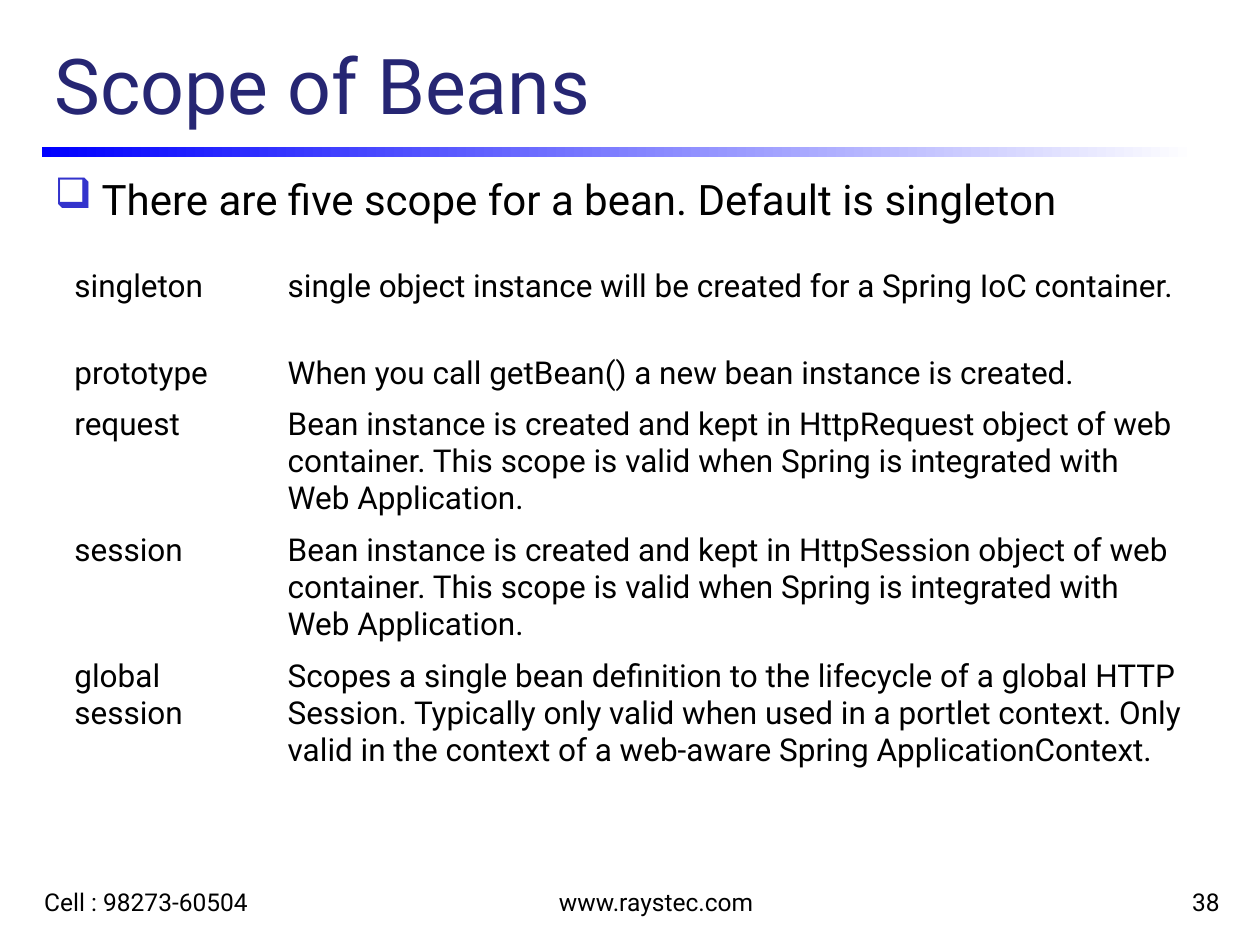
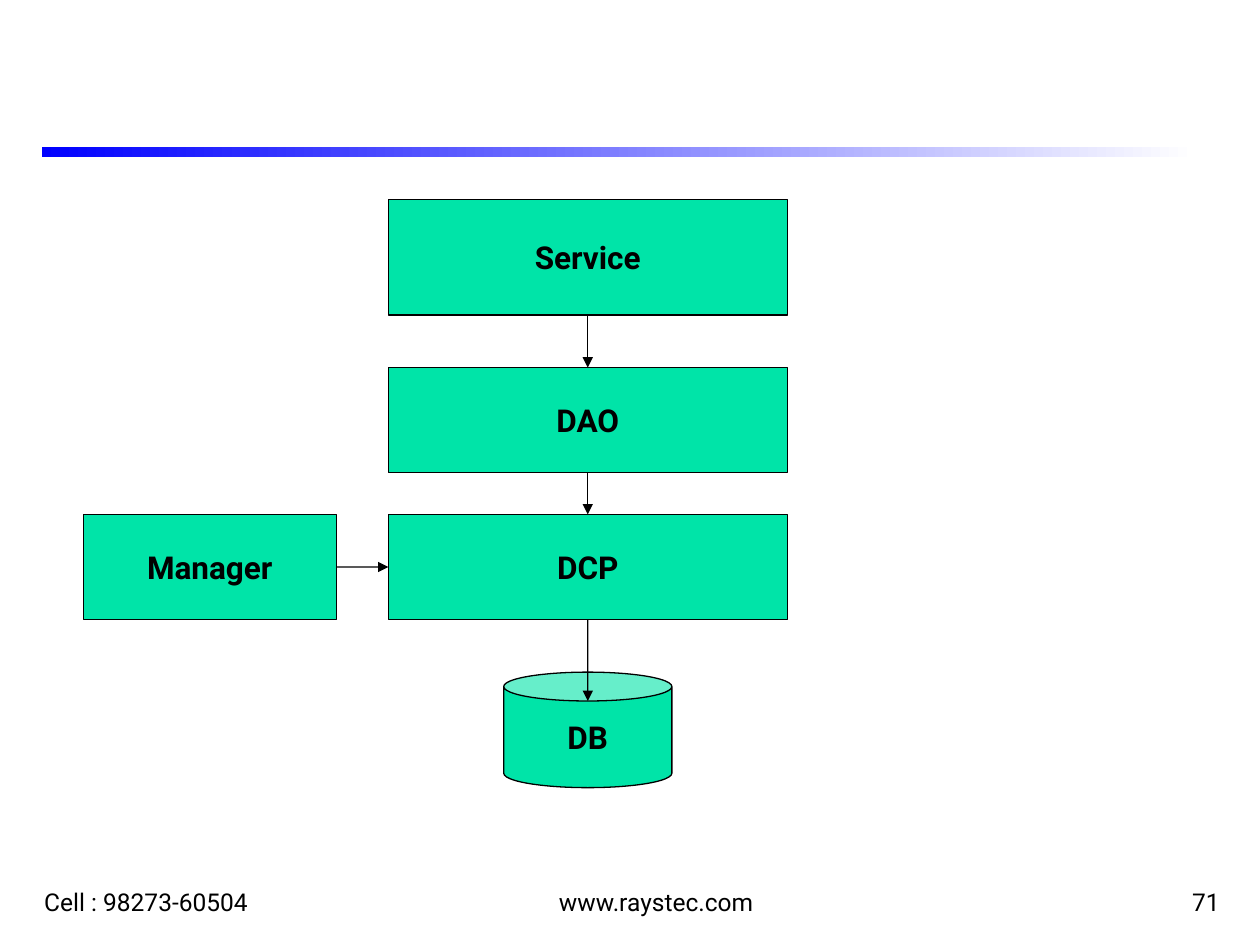
from lxml.etree import SubElement
from pptx import Presentation
from pptx.dml.color import RGBColor
from pptx.enum.shapes import MSO_CONNECTOR, MSO_SHAPE
from pptx.enum.text import MSO_ANCHOR, PP_ALIGN
from pptx.oxml.ns import qn
from pptx.util import Cm, Pt

FONT = "Roboto"
BLACK, NAVY, GREEN = "000000", "262673", "00E4A8"
BLUE, WHITE, MARK = "0000FF", "FFFFFF", "3333CC"
EDGE = 0.85

SCOPES = [
    (1.75, "singleton",
     "single object instance will be created for a Spring IoC container."),
    (1.0, "prototype",
     "When you call getBean() a new bean instance is created."),
    (2.52, "request",
     "Bean instance is created and kept in HttpRequest object of web container. "
     "This scope is valid when Spring is integrated with Web Application."),
    (2.52, "session",
     "Bean instance is created and kept in HttpSession object of web container. "
     "This scope is valid when Spring is integrated with Web Application."),
    (3.27, "global session",
     "Scopes a single bean definition to the lifecycle of a global HTTP Session. "
     "Typically only valid when used in a portlet context. "
     "Only valid in the context of a web-aware Spring ApplicationContext."),
]


def tint(code):
    """Turn a hex string into a colour."""
    return RGBColor.from_string(code)


def write(frame, text, size, color=BLACK, bold=False, align=PP_ALIGN.LEFT):
    """Put one styled paragraph in a text frame."""
    para = frame.paragraphs[0]
    para.text = text
    para.alignment = align
    font = para.font
    font.name, font.size, font.bold = FONT, Pt(size), bold
    font.color.rgb = tint(color)


def label(slide, box, text, size, anchor=MSO_ANCHOR.TOP, **style):
    """Add a wrapped text box and return its frame."""
    frame = slide.shapes.add_textbox(*map(Cm, box)).text_frame
    frame.word_wrap = True
    frame.vertical_anchor = anchor
    write(frame, text, size, **style)
    return frame


def band(slide, box):
    """Draw the fading rule below the title."""
    bar = slide.shapes.add_shape(MSO_SHAPE.RECTANGLE, *map(Cm, box))
    bar.shadow.inherit = False
    bar.line.fill.background()
    bar.fill.gradient()
    bar.fill.gradient_angle = 0
    for stop, code in zip(bar.fill.gradient_stops, (BLUE, WHITE)):
        stop.color.rgb = tint(code)


def footer(slide, box, page):
    """Write phone, site and page number along the bottom."""
    left, top, _, high = box
    parts = [(0, 5.29, "Cell : 98273-60504", PP_ALIGN.LEFT),
             (6.14, 12.9, "www.raystec.com", PP_ALIGN.CENTER),
             (19.68, 4.52, page, PP_ALIGN.RIGHT)]
    for shift, wide, text, align in parts:
        label(slide, (left + shift, top, wide, high), text, 14,
              MSO_ANCHOR.BOTTOM, align=align)


def start(deck, page):
    """Add a slide with the shared band and footer."""
    slide = deck.slides.add_slide(deck.slide_layouts[6])
    band(slide, (EDGE, 2.96, 23.27, 0.2))
    footer(slide, (0.64, 17.98, 24.2, 0.62), page)
    return slide


def bullet(slide, box, text):
    """Add a line with a hollow square bullet."""
    frame = slide.shapes.add_textbox(*map(Cm, box)).text_frame
    frame.word_wrap = True
    props = frame.paragraphs[0]._p.get_or_add_pPr()
    props.set("marL", str(Cm(0.95)))
    props.set("indent", str(-Cm(0.95)))
    color = SubElement(props, qn("a:buClr"))
    SubElement(color, qn("a:srgbClr"), val=MARK)
    SubElement(props, qn("a:buChar"), char="❑")
    write(frame, text, 24)


def grid(slide, box, rows):
    """Build the table of scopes and their meaning."""
    wide = box[2]
    table = slide.shapes.add_table(len(rows), 2, *map(Cm, box)).table
    table.first_row = table.horz_banding = False
    for col, size in zip(table.columns, (4.3, wide - 4.3)):
        col.width = Cm(size)
    for row, (high, *texts) in zip(table.rows, rows):
        row.height = Cm(high)
        for cell, text in zip(row.cells, texts):
            cell.fill.background()
            cell.margin_left = cell.margin_right = Cm(0.23)
            write(cell.text_frame, text, 18)


def block(slide, box, text, kind=MSO_SHAPE.RECTANGLE):
    """Draw one green part of the flow."""
    shape = slide.shapes.add_shape(kind, *map(Cm, box))
    shape.shadow.inherit = False
    shape.fill.solid()
    shape.fill.fore_color.rgb = tint(GREEN)
    shape.line.color.rgb = tint(BLACK)
    shape.line.width = Pt(0.75)
    frame = shape.text_frame
    frame.word_wrap = False
    frame.vertical_anchor = MSO_ANCHOR.MIDDLE
    write(frame, text, 18, bold=True, align=PP_ALIGN.CENTER)
    return shape


def arrow(slide, tail, side, head, end=None):
    """Link a side of one part to a side or point of the next."""
    x, y = head if end is None else (0, 0)
    line = slide.shapes.add_connector(MSO_CONNECTOR.STRAIGHT, 0, 0, x, y)
    line.begin_connect(tail, side)
    if end is not None:
        line.end_connect(head, end)
    line.line.color.rgb = tint(BLACK)
    line.line.width = Pt(0.75)
    SubElement(line.line._get_or_add_ln(), qn("a:tailEnd"), type="triangle")
    SubElement(line._element.spPr, qn("a:effectLst"))


def flow(slide, box):
    """Stack the layers, with the manager beside the lowest one."""
    left, top, wide, high = box
    main, tall, low = 8.04, 2.33, 2.12
    lane = left + wide - main
    layers = []
    y = top
    for text, size, gap in (("Service", tall, 1.06), ("DAO", low, 0.84),
                            ("DCP", low, 1.06)):
        layers.append(block(slide, (lane, y, main, size), text))
        y += size + gap
    service, dao, dcp = layers
    drum = 3.39
    block(slide, (lane + (main - drum) / 2, y, drum, tall), "DB", MSO_SHAPE.CAN)
    aide = block(slide, (left, dcp.top.cm, 5.1, low), "Manager")
    arrow(slide, service, 2, dao, 0)
    arrow(slide, dao, 2, dcp, 0)
    arrow(slide, dcp, 2, (Cm(lane + main / 2), Cm(y + tall / 4)))
    arrow(slide, aide, 3, dcp, 1)


def main():
    """Build and save both slides."""
    deck = Presentation()
    deck.slide_width, deck.slide_height = Cm(25.4), Cm(19.05)
    scope = start(deck, "38")
    label(scope, (EDGE, 0.58, 24, 2.16), "Scope of Beans", 44,
          MSO_ANCHOR.BOTTOM, color=NAVY)
    bullet(scope, (EDGE, 3.38, 24, 3.18),
           "There are five scope for a bean. Default is singleton")
    grid(scope, (1.27, 5.29, 22.87, 11.06), SCOPES)
    flow(start(deck, "71"), (1.68, 4.02, 14.19, 11.86))
    deck.save("out.pptx")


if __name__ == "__main__":
    main()
